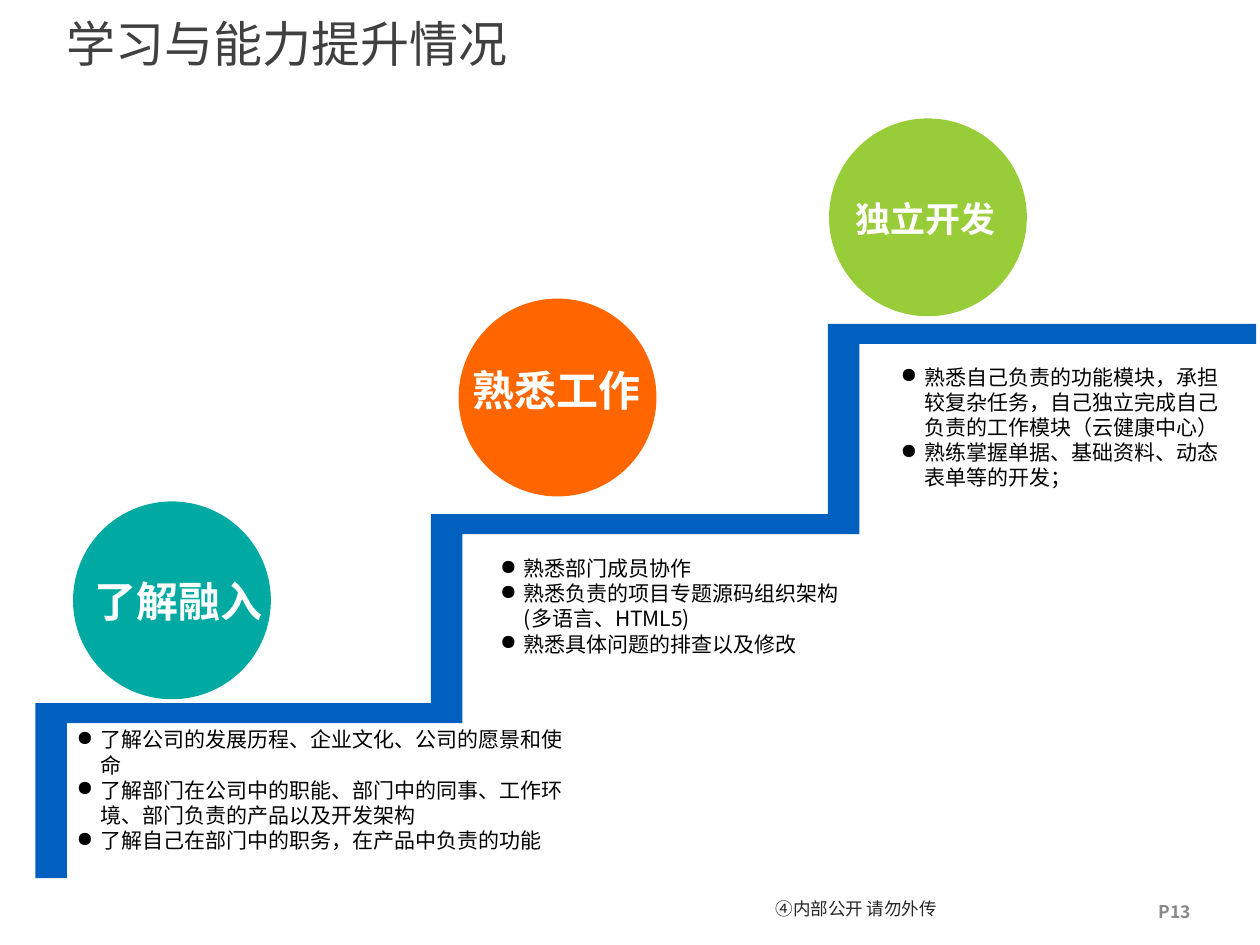
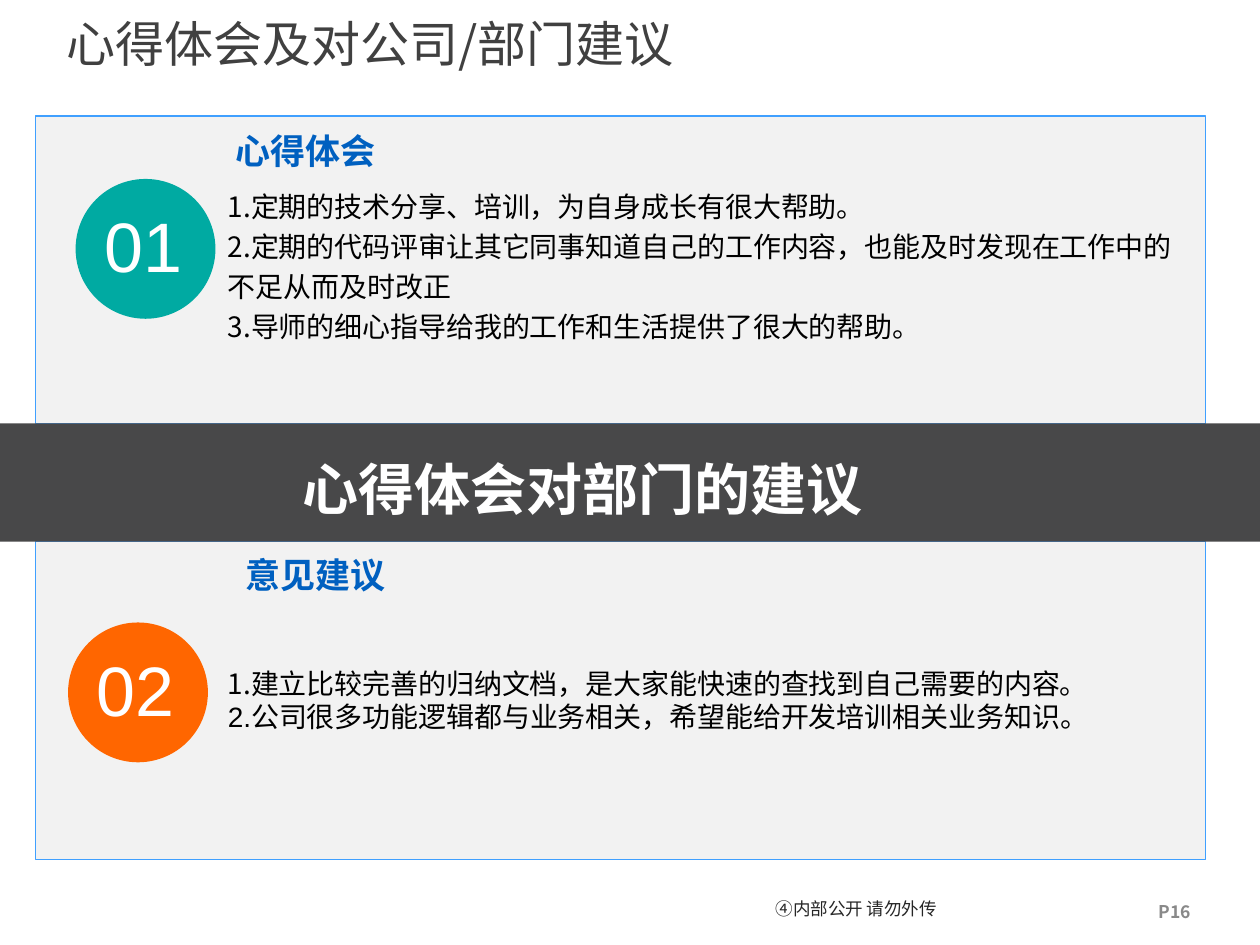
from pptx import Presentation
from pptx.dml.color import RGBColor
from pptx.enum.shapes import MSO_SHAPE as Form
from pptx.enum.text import MSO_ANCHOR as Anchor, MSO_AUTO_SIZE as Fit, PP_ALIGN as Align
from pptx.oxml.ns import qn
from pptx.util import Pt
from lxml.etree import SubElement

PX = 9144  # 100 px to the inch

TEAL = RGBColor(0x00, 0xAA, 0xA2)
ORANGE = RGBColor(0xFF, 0x66, 0x00)
GREEN = RGBColor(0x99, 0xCC, 0x39)
BLUE = RGBColor(0x00, 0x60, 0xC0)
SKY = RGBColor(0x40, 0xA0, 0xFF)
PALE = RGBColor(0xF2, 0xF2, 0xF2)
DARK = RGBColor(0x48, 0x48, 0x49)
INK = RGBColor(0x40, 0x40, 0x40)
NOTE = RGBColor(0x26, 0x26, 0x26)
GREY = RGBColor(0x89, 0x89, 0x89)
BLACK = RGBColor(0, 0, 0)
WHITE = RGBColor(0xFF, 0xFF, 0xFF)

SANS = "Noto Sans CJK SC"
ARIAL = "Arial"
HANG = 19


def write(frame, text, size=12, color=BLACK, font=SANS, bold=False,
          align=Align.LEFT, lead=None, bullet=None):
    """Fill the frame with one paragraph per line of text."""
    for i, line in enumerate(text.split("\n")):
        para = frame.add_paragraph() if i else frame.paragraphs[0]
        para.alignment = align
        if lead:
            para.line_spacing = Pt(lead)
        if bullet:
            props = para._p.get_or_add_pPr()
            props.set("marL", str(HANG * PX))
            props.set("indent", str(-HANG * PX))
            SubElement(props, qn("a:buChar")).set("char", bullet)
        run = para.add_run()
        run.text = line
        run.font.name = font
        run.font.size = Pt(size)
        run.font.bold = bold
        run.font.color.rgb = color
        SubElement(run._r.get_or_add_rPr(), qn("a:ea")).set("typeface", SANS)


class Deck:
    def __init__(self):
        self.show = Presentation()
        self.show.slide_width = 1000 * PX
        self.show.slide_height = 750 * PX
        self.slide = None

    def page(self, title, number):
        """Start a slide with its title, footer and page number."""
        self.slide = self.show.slides.add_slide(self.show.slide_layouts[5])
        head = self.slide.shapes.title
        head.left, head.top, head.width, head.height = (v * PX for v in (43, 0, 732, 68))
        frame = head.text_frame
        frame.auto_size = Fit.NONE
        frame.vertical_anchor = Anchor.MIDDLE
        write(frame, title, size=28, color=INK)
        foot = self.text((591, 702, 177, 36), "④内部公开 请勿外传", size=10,
                         color=NOTE, align=Align.CENTER, lead=14)
        foot.vertical_anchor = Anchor.MIDDLE
        foot.margin_top = foot.margin_bottom = PX
        foot.margin_left = foot.margin_right = 8 * PX
        self.text((910, 710, 90, 27), f"P{number}", size=10, color=GREY, bold=True)

    def text(self, box, text, wrap=True, **style):
        frame = self.slide.shapes.add_textbox(*(v * PX for v in box)).text_frame
        frame.word_wrap = wrap
        write(frame, text, **style)
        return frame

    def paint(self, shape, fill, line=None):
        shape.shadow.inherit = False
        shape.fill.solid()
        shape.fill.fore_color.rgb = fill
        if line is None:
            shape.line.fill.background()
        else:
            shape.line.color.rgb = line
            shape.line.width = Pt(0.75)

    def shape(self, form, box, fill, line=None):
        self.paint(self.slide.shapes.add_shape(form, *(v * PX for v in box)), fill, line)

    def disc(self, x, y, size, fill):
        self.shape(Form.OVAL, (x, y, size, size), fill)

    def stairs(self, steps, end, base, fill, riser=25, tread=16):
        """Draw a rising band; steps are the top left corners, low to high."""
        upper, floor = [], base
        for x, y in steps:
            upper += [(x, floor), (x, y)]
            floor = y
        upper.append((end, floor))
        lower = [(x + riser, y + tread) for x, y in upper[1:-1]]
        lower = [(steps[0][0] + riser, base), *lower, (end, floor + tread)]
        path = upper + lower[::-1]
        build = self.slide.shapes.build_freeform(*path[0], scale=PX)
        build.add_line_segments(path[1:], close=True)
        self.paint(build.convert_to_shape(), fill)


def growth(deck):
    deck.page("学习与能力提升情况", 13)
    for x, y, fill in ((58, 398, TEAL), (364, 237, ORANGE), (658, 94, GREEN)):
        deck.disc(x, y, 157, fill)
    deck.stairs([(28, 558), (342, 408), (657, 257)], end=997, base=697, fill=BLUE)
    stages = (
        ("了解融入", 24, (51, 452, 181, 50), (51, 572, 411, 111),
         "了解公司的发展历程、企业文化、公司的愿景和使命\n"
         "了解部门在公司中的职能、部门中的同事、工作环境、部门负责的产品以及开发架构\n"
         "了解自己在部门中的职务，在产品中负责的功能"),
        ("熟悉工作", 24, (350, 284, 184, 50), (387, 436, 302, 125),
         "熟悉部门成员协作\n"
         "熟悉负责的项目专题源码组织架构(多语言、HTML5)\n"
         "熟悉具体问题的排查以及修改"),
        ("独立开发", 20, (658, 152, 153, 44), (705, 284, 283, 111),
         "熟悉自己负责的功能模块，承担较复杂任务，自己独立完成自己负责的工作模块（云健康中心）\n"
         "熟练掌握单据、基础资料、动态表单等的开发；"),
    )
    for name, size, spot, box, points in stages:
        deck.text(spot, name, size=size, color=WHITE, font=ARIAL, bold=True,
                  align=Align.CENTER)
        deck.text(box, points, bullet="●")


def advice(deck):
    deck.page("心得体会及对公司/部门建议", 16)
    parts = (
        ("01", TEAL, (28, 92, 929, 244), (60, 142), "心得体会", (177, 98, 180, 44)),
        ("02", ORANGE, (28, 430, 929, 252), (54, 494), "意见建议", (185, 434, 164, 44)),
    )
    for mark, fill, panel, (x, y), name, spot in parts:
        deck.shape(Form.RECTANGLE, panel, PALE, SKY)
        deck.disc(x, y, 111, fill)
        deck.text((x + 6, y + 14, 95, 77), mark, size=40, color=WHITE, font=ARIAL,
                  align=Align.CENTER)
        deck.text(spot, name, size=20, color=BLUE, font=ARIAL, bold=True)
    deck.text((171, 140, 786, 139),
              "1.定期的技术分享、培训，为自身成长有很大帮助。\n"
              "2.定期的代码评审让其它同事知道自己的工作内容，也能及时发现在工作中的不足从而及时改正\n"
              "3.导师的细心指导给我的工作和生活提供了很大的帮助。",
              size=16, lead=23)
    ideas = deck.text((171, 524, 786, 64),
                      "1.建立比较完善的归纳文档，是大家能快速的查找到自己需要的内容。\n"
                      "2.公司很多功能逻辑都与业务相关，希望能给开发培训相关业务知识。",
                      size=16)
    ideas.paragraphs[1].runs[0].font.name = ARIAL
    deck.shape(Form.RECTANGLE, (0, 336, 1000, 94), DARK)
    deck.text((228, 356, 469, 64), "心得体会对部门的建议", wrap=False, size=32,
              color=WHITE, bold=True, align=Align.CENTER)


def main():
    deck = Deck()
    growth(deck)
    advice(deck)
    deck.show.save("out.pptx")


if __name__ == "__main__":
    main()
